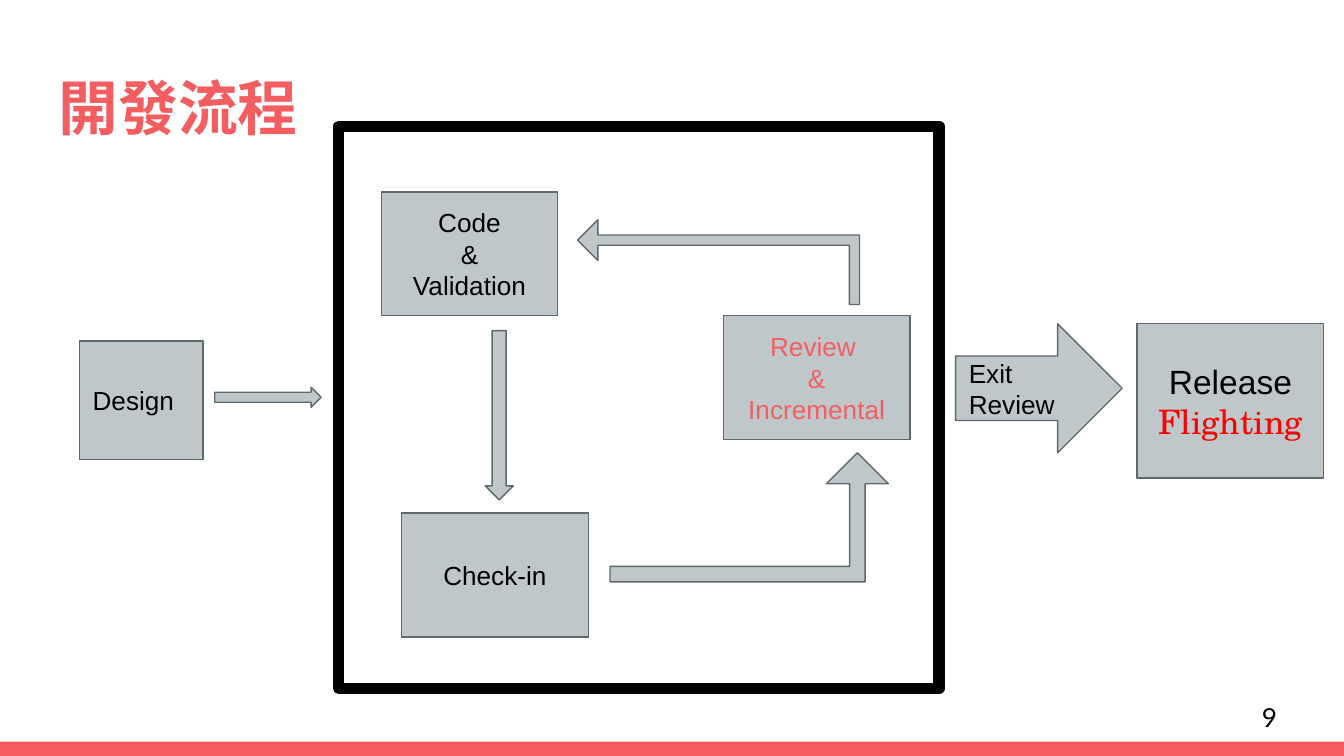
from dataclasses import dataclass

from lxml.etree import SubElement
from pptx import Presentation
from pptx.dml.color import RGBColor
from pptx.enum.shapes import MSO_SHAPE
from pptx.enum.text import MSO_ANCHOR, PP_ALIGN
from pptx.oxml.ns import qn
from pptx.shapes.autoshape import Shape
from pptx.slide import Slide
from pptx.text.text import TextFrame
from pptx.util import Cm, Pt


@dataclass(frozen=True)
class Theme:
    accent: str = "F55E61"
    box_fill: str = "BFC7CA"
    box_line: str = "5E696C"
    black: str = "000000"
    highlight: str = "FF0000"
    body_font: str = "Arial"
    title_font: str = "Vollkorn"
    number_font: str = "Lato"
    serif_font: str = "TeX Gyre Schola"
    title_size: float = 32
    large_size: float = 18
    body_size: float = 14
    box_line_width: float = 0.75
    frame_width: float = 6
    inset: float = 0.25


THEME = Theme()
SLIDE_WIDTH, SLIDE_HEIGHT = 25.4, 14.29
STEP_WIDTH, STEP_HEIGHT = 3.53, 2.34
HALF = (0.5, 0.5)
BENT = (0.12, 0.24, 0.24)


@dataclass(frozen=True)
class Area:
    """Position and size in centimetres."""
    left: float
    top: float
    width: float
    height: float

    def lengths(self) -> tuple[Cm, Cm, Cm, Cm]:
        return Cm(self.left), Cm(self.top), Cm(self.width), Cm(self.height)


@dataclass(frozen=True)
class Line:
    text: str
    color: str = THEME.black
    size: float = THEME.body_size
    font: str = THEME.body_font
    bold: bool = False


@dataclass(frozen=True)
class Block:
    area: Area
    lines: tuple[Line, ...] = ()
    kind: MSO_SHAPE = MSO_SHAPE.RECTANGLE
    align: PP_ALIGN = PP_ALIGN.CENTER
    adjustments: tuple[float, ...] = ()
    rotation: float = 0


BLOCKS = (
    Block(Area(7.59, 9.7, STEP_WIDTH, STEP_HEIGHT), (Line("Check-in"),)),
    Block(Area(13.67, 5.97, STEP_WIDTH, STEP_HEIGHT),
          tuple(Line(text, THEME.accent) for text in ("Review ", "&", "Incremental"))),
    Block(Area(1.5, 6.45, 2.34, 2.24), (Line("Design"),), align=PP_ALIGN.LEFT),
    Block(Area(7.21, 3.63, 3.33, STEP_HEIGHT),
          tuple(Line(text) for text in ("Code", "&", "Validation"))),
    Block(Area(11.53, 8.56, 5.26, 2.44), kind=MSO_SHAPE.BENT_UP_ARROW, adjustments=BENT),
    Block(Area(12.78, 2.29, 1.6, 5.33), kind=MSO_SHAPE.BENT_UP_ARROW,
          adjustments=BENT, rotation=270),
    Block(Area(9.17, 6.25, 0.53, 3.2), kind=MSO_SHAPE.DOWN_ARROW, adjustments=HALF),
    Block(Area(21.49, 6.12, STEP_WIDTH, 2.92),
          (Line("Release", size=THEME.large_size),
           Line("Flighting", THEME.highlight, THEME.large_size, THEME.serif_font))),
    Block(Area(4.06, 7.32, 2.01, 0.38), kind=MSO_SHAPE.RIGHT_ARROW, adjustments=HALF),
    Block(Area(18.06, 6.12, 3.15, 2.44), (Line("Exit"), Line("Review")),
          MSO_SHAPE.RIGHT_ARROW, PP_ALIGN.LEFT, HALF),
)


def write_lines(frame: TextFrame, lines: tuple[Line, ...], align: PP_ALIGN,
                anchor: MSO_ANCHOR = MSO_ANCHOR.MIDDLE) -> None:
    frame.word_wrap = True
    frame.vertical_anchor = anchor
    frame.margin_left = frame.margin_right = Cm(THEME.inset)
    frame.margin_top = frame.margin_bottom = Cm(THEME.inset)
    for index, line in enumerate(lines):
        paragraph = frame.add_paragraph() if index else frame.paragraphs[0]
        paragraph.alignment = align
        run = paragraph.add_run()
        run.text = line.text
        run.font.name = line.font
        run.font.size = Pt(line.size)
        run.font.bold = line.bold
        run.font.color.rgb = RGBColor.from_string(line.color)


def add_plain_shape(slide: Slide, area: Area, kind: MSO_SHAPE = MSO_SHAPE.RECTANGLE,
                    fill: str | None = None, line: str | None = None,
                    line_width: float = THEME.box_line_width) -> Shape:
    shape = slide.shapes.add_shape(kind, *area.lengths())
    shape.shadow.inherit = False
    if fill:
        shape.fill.solid()
        shape.fill.fore_color.rgb = RGBColor.from_string(fill)
    else:
        shape.fill.background()
    if line:
        shape.line.color.rgb = RGBColor.from_string(line)
        shape.line.width = Pt(line_width)
        SubElement(shape.line._get_or_add_ln(), qn("a:round"))
    else:
        shape.line.fill.background()
    return shape


def add_block(slide: Slide, block: Block) -> None:
    shape = add_plain_shape(slide, block.area, block.kind, THEME.box_fill, THEME.box_line)
    for index, value in enumerate(block.adjustments):
        shape.adjustments[index] = value
    shape.rotation = block.rotation
    if block.lines:
        write_lines(shape.text_frame, block.lines, block.align)


def add_title(slide: Slide, text: str) -> None:
    title = slide.shapes.title
    title.left, title.top, title.width, title.height = Area(0.86, 1.09, 23.67, 1.73).lengths()
    line = Line(text, THEME.accent, THEME.title_size, THEME.title_font, bold=True)
    write_lines(title.text_frame, (line,), PP_ALIGN.LEFT, MSO_ANCHOR.TOP)
    properties = title.text_frame.paragraphs[0].runs[0].font._element
    SubElement(properties, qn("a:ea"), typeface=THEME.title_font)


def add_slide_number(slide: Slide, number: str) -> None:
    box = slide.shapes.add_textbox(*Area(23.6, 13, 1.52, 1.09).lengths())
    write_lines(box.text_frame, (Line(number, font=THEME.number_font),), PP_ALIGN.LEFT)


def main() -> None:
    presentation = Presentation()
    presentation.slide_width, presentation.slide_height = Cm(SLIDE_WIDTH), Cm(SLIDE_HEIGHT)
    slide = presentation.slides.add_slide(presentation.slide_layouts.get_by_name("Title Only"))
    add_plain_shape(slide, Area(0, 14.02, SLIDE_WIDTH, 0.27), fill=THEME.accent)
    add_plain_shape(slide, Area(6.4, 2.39, 11.35, 10.62), line=THEME.black,
                    line_width=THEME.frame_width)
    add_title(slide, "開發流程")
    for block in BLOCKS:
        add_block(slide, block)
    add_slide_number(slide, "9")
    presentation.save("out.pptx")


if __name__ == "__main__":
    main()
